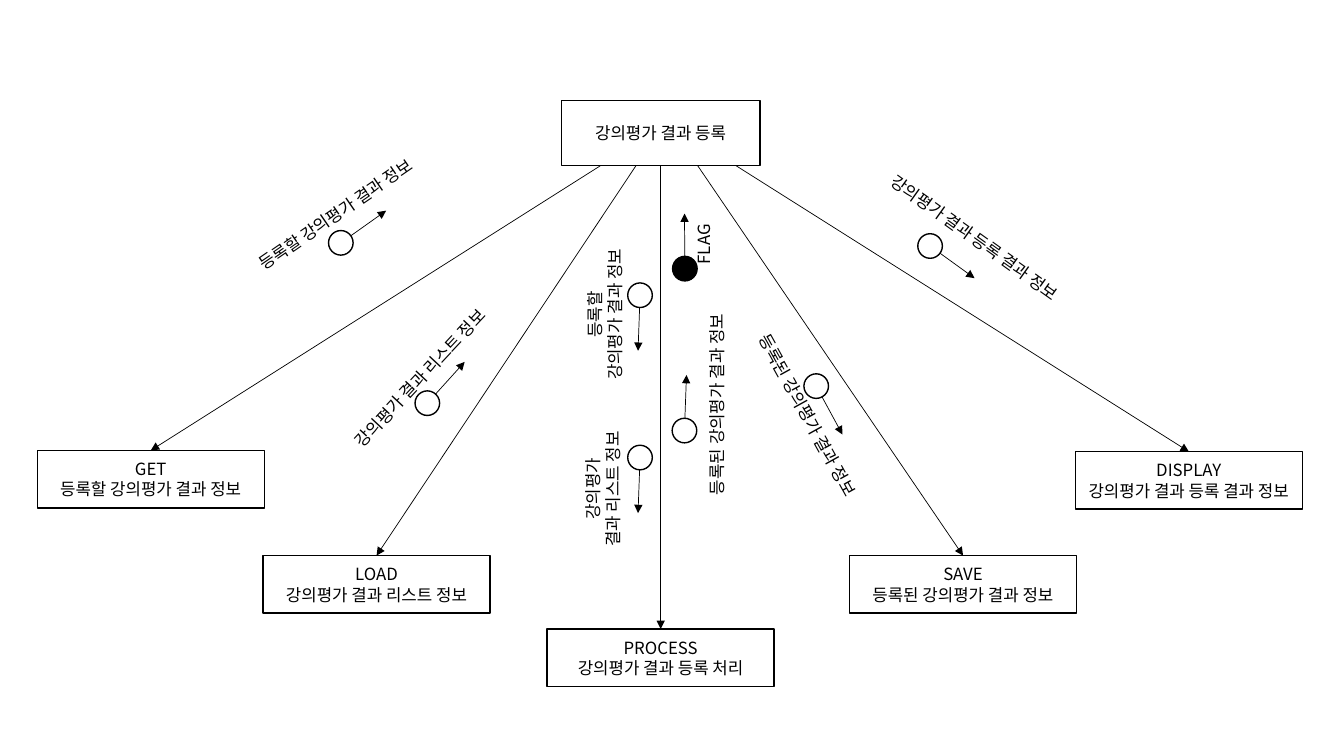
from math import hypot

from lxml.etree import SubElement
from pptx import Presentation
from pptx.dml.color import RGBColor
from pptx.enum.shapes import MSO_CONNECTOR, MSO_SHAPE
from pptx.enum.text import MSO_ANCHOR, MSO_AUTO_SIZE, PP_ALIGN
from pptx.oxml.ns import qn
from pptx.util import Cm, Pt

BLACK = RGBColor(0x00, 0x00, 0x00)
WHITE = RGBColor(0xFF, 0xFF, 0xFF)
LEFT, MID = PP_ALIGN.LEFT, PP_ALIGN.CENTER


class Chart:
    """Structure chart: style and current slide."""

    font = "Noto Sans CJK KR"
    size = Pt(12)
    ring = 0.62  # diameter of a couple's circle
    gap = 0.25  # from circle centre to the start of its arrow

    def __init__(self, slide):
        self.slide = slide

    def text(self, frame, lines, align=MID):
        for i, line in enumerate(lines):
            para = frame.paragraphs[0] if i == 0 else frame.add_paragraph()
            para.alignment = align
            run = para.add_run()
            run.text = line
            run.font.size = self.size
            run.font.color.rgb = BLACK
            run.font.name = self.font
            ea = SubElement(run.font._element, qn("a:ea"))
            ea.set("typeface", self.font)

    def shape(self, shapes, kind, x, y, w, h, fill=WHITE):
        item = shapes.add_shape(kind, Cm(x), Cm(y), Cm(w), Cm(h))
        item.shadow.inherit = False
        item.fill.solid()
        item.fill.fore_color.rgb = fill
        item.line.color.rgb = BLACK
        item.line.width = Pt(1)
        return item

    def box(self, x, y, w, h, *lines):
        item = self.shape(self.slide.shapes, MSO_SHAPE.RECTANGLE, x, y, w, h)
        frame = item.text_frame
        frame.word_wrap = True
        frame.margin_left = frame.margin_right = Cm(0.1)
        frame.vertical_anchor = MSO_ANCHOR.MIDDLE
        self.text(frame, lines)
        return item

    def arrow(self, shapes, x1, y1, x2, y2):
        line = shapes.add_connector(
            MSO_CONNECTOR.STRAIGHT, Cm(x1), Cm(y1), Cm(x2), Cm(y2))
        line.line.color.rgb = BLACK
        line.line.width = Pt(0.5)
        props = line._element.spPr
        SubElement(props.find(qn("a:ln")), qn("a:tailEnd")).set("type", "triangle")
        SubElement(props, qn("a:effectLst"))
        return line

    def couple(self, x, y, tip_x, tip_y, fill=WHITE):
        shapes = self.slide.shapes.add_group_shape().shapes
        part = self.gap / hypot(tip_x - x, tip_y - y)
        self.arrow(shapes, x + part * (tip_x - x), y + part * (tip_y - y),
                   tip_x, tip_y)
        half = self.ring / 2
        self.shape(shapes, MSO_SHAPE.OVAL, x - half, y - half,
                   self.ring, self.ring, fill)

    def label(self, x, y, w, turn, lines, align=MID):
        h = 0.77 if len(lines) == 1 else 1.28
        item = self.slide.shapes.add_textbox(
            Cm(x - w / 2), Cm(y - h / 2), Cm(w), Cm(h))
        item.rotation = turn
        frame = item.text_frame
        frame.word_wrap = False
        frame.auto_size = MSO_AUTO_SIZE.SHAPE_TO_FIT_TEXT
        self.text(frame, lines, align)


def main():
    deck = Presentation()
    deck.slide_width, deck.slide_height = Cm(33.87), Cm(19.05)
    chart = Chart(deck.slides.add_slide(deck.slide_layouts[6]))

    # Main module
    foot = 4.17
    root = chart.box(14.15, 2.54, 5, foot - 2.54, "강의평가 결과 등록")

    # Submodules: left, top, start of the call arrow, name, task
    wide, high = 5.72, 1.45
    parts = [
        (0.94, 11.35, 15.14, "GET", "등록할 강의평가 결과 정보"),
        (6.63, 14, 16.03, "LOAD", "강의평가 결과 리스트 정보"),
        (13.79, 15.85, 16.65, "PROCESS", "강의평가 결과 등록 처리"),
        (21.41, 14, 17.58, "SAVE", "등록된 강의평가 결과 정보"),
        (27.1, 11.38, 18.54, "DISPLAY", "강의평가 결과 등록 결과 정보"),
    ]
    for x, y, start, name, task in parts:
        child = chart.box(x, y, wide, high, name, task)
        call = chart.arrow(chart.slide.shapes, start, foot, x + wide / 2, y)
        if name == "PROCESS":
            call.begin_connect(root, 2)
        call.end_connect(child, 0)

    # Data and flag couples: circle centre, arrow tip
    couples = [
        (8.59, 6.12, 9.73, 5.31),
        (17.26, 6.77, 17.25, 5.38, BLACK),
        (10.77, 10.16, 11.71, 9.12),
        (17.25, 10.85, 17.3, 9.45),
        (16.13, 7.44, 16.08, 8.84),
        (16.13, 11.53, 16.08, 12.93),
        (20.57, 9.73, 21.23, 10.95),
        (23.44, 6.2, 24.56, 7.01),
    ]
    for couple in couples:
        chart.couple(*couple)

    # Couple labels: centre, width, rotation, lines
    labels = [
        (8.74, 5.21, 5.74, 325.5, ["등록할 강의평가 결과 정보"], LEFT),
        (20.35, 10.46, 5.74, 61.1, ["등록된 강의평가 결과 정보"]),
        (24.56, 5.99, 6.2, 35.7, ["강의평가 결과 등록 결과 정보"]),
        (10.59, 9.53, 5.74, 313.1, ["강의평가 결과 리스트 정보"]),
        (15.24, 7.92, 4.27, 270, ["등록할", "강의평가 결과 정보"]),
        (15.19, 12.32, 4.01, 270, ["강의평가", "결과 리스트 정보"]),
        (18.06, 10.19, 5.74, 270, ["등록된 강의평가 결과 정보"]),
        (17.75, 6.15, 1.52, 270, ["FLAG"], LEFT),
    ]
    for label in labels:
        chart.label(*label)

    deck.save("out.pptx")


if __name__ == "__main__":
    main()
